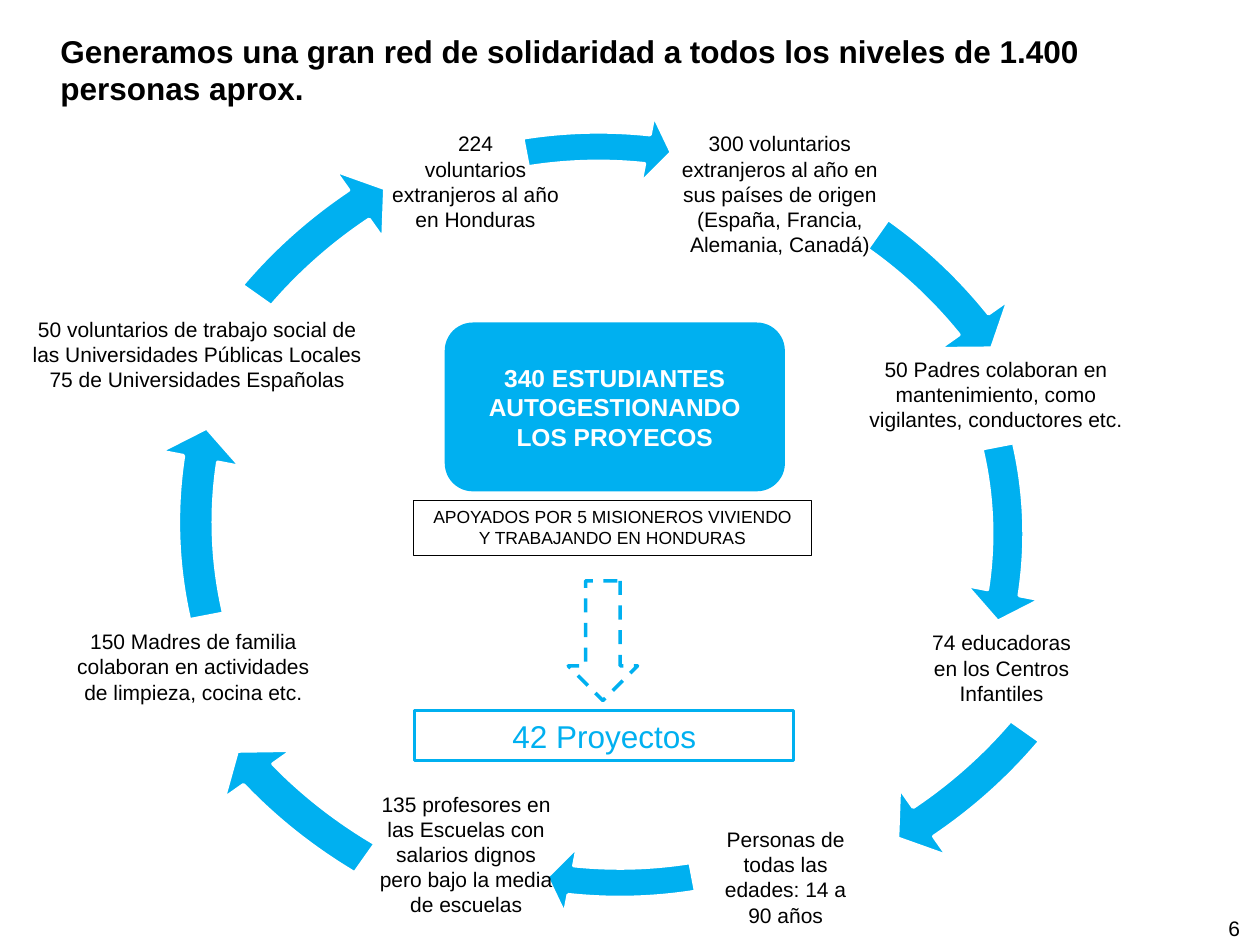
import pptx
import pptx.dml.color
import pptx.enum.dml
import pptx.enum.shapes
import pptx.enum.text
import pptx.util
from dataclasses import dataclass
from typing import Optional

Shape = pptx.enum.shapes.MSO_SHAPE
Anchor = pptx.enum.text.MSO_ANCHOR
Align = pptx.enum.text.PP_ALIGN
Fit = pptx.enum.text.MSO_AUTO_SIZE


@dataclass(frozen=True)
class Theme:
    font: str = "Arial"
    accent: str = "00B0F0"
    ink: str = "000000"
    paper: str = "FFFFFF"
    heading: float = 18
    emphasis: float = 14
    body: float = 12
    caption: float = 10


@dataclass(frozen=True)
class Area:
    """Left, top, width and height in grid columns and rows."""
    left: float
    top: float
    width: float
    height: float

    def lengths(self) -> list:
        return [round(cells * CELL) for cells in
                (self.left, self.top, self.width, self.height)]


@dataclass(frozen=True)
class Label:
    area: Area
    lines: tuple


THEME = Theme()
COLUMNS, ROWS = 100, 75
CELL = pptx.util.Inches(10) / COLUMNS

# Groups of helpers, clockwise from the top right
LABELS = [
    Label(Area(52.5, 9.9, 18.8, 11.1), (
        "300 voluntarios extranjeros al año en sus países de origen (España, Francia, Alemania, Canadá)",)),
    Label(Area(68, 27.8, 22.1, 7.1), (
        "50 Padres colaboran en mantenimiento, como vigilantes, conductores etc.",)),
    Label(Area(72.8, 49.5, 13.4, 7.1), ("74 educadoras en los Centros Infantiles",)),
    Label(Area(55.4, 65.1, 13.9, 9.1), ("Personas de todas las edades: 14 a 90 años",)),
    Label(Area(29, 62.3, 16, 11.1), (
        "135 profesores en las Escuelas con salarios dignos pero bajo la media de escuelas",)),
    Label(Area(5.1, 49.4, 20.5, 7.1), (
        "150 Madres de familia colaboran en actividades de limpieza, cocina etc.",)),
    Label(Area(1.4, 24.6, 28.5, 7.1), (
        "50 voluntarios de trabajo social de las Universidades Públicas Locales",
        "75 de Universidades Españolas")),
    Label(Area(29.6, 9.9, 16.3, 9.1), ("224", "voluntarios extranjeros al año en Honduras")),
]

# Circles that carry the ring's arrows, clockwise from the top right
RING = [
    Area(6.8, 8.3, 82.2, 82.2), Area(2.7, 5.7, 80.3, 73.3),
    Area(5.1, -5.3, 88.1, 81.1), Area(12.9, 6, 72.6, 66.8),
    Area(7, -3.7, 88.1, 81.1), Area(12.3, 1.9, 86.2, 79.1),
    Area(8.5, 5.7, 88.3, 81.1), Area(11.2, 8.9, 72.6, 66.8),
]


def colour(code: str) -> pptx.dml.color.RGBColor:
    return pptx.dml.color.RGBColor.from_string(code)


def write(box, *lines: str, size: float = THEME.body, ink: str = THEME.ink,
          bold: bool = False, align=Align.CENTER, anchor=Anchor.TOP,
          fit=Fit.SHAPE_TO_FIT_TEXT) -> None:
    frame = box.text_frame
    frame.word_wrap = True
    frame.auto_size = fit
    frame.vertical_anchor = anchor
    for index, line in enumerate(lines):
        para = frame.add_paragraph() if index else frame.paragraphs[0]
        para.alignment = align
        span = para.add_run()
        span.text = line
        span.font.name = THEME.font
        span.font.size = pptx.util.Pt(size)
        span.font.bold = bold
        span.font.color.rgb = colour(ink)


def draw(shapes, kind, area: Area, fill: Optional[str] = None,
         line: Optional[str] = None, weight: float = 1):
    shape = shapes.add_shape(kind, *area.lengths())
    shape.shadow.inherit = False
    if fill:
        shape.fill.solid()
        shape.fill.fore_color.rgb = colour(fill)
    else:
        shape.fill.background()
    if line:
        shape.line.color.rgb = colour(line)
        shape.line.width = pptx.util.Pt(weight)
    else:
        shape.line.fill.background()
    return shape


def draw_ring(page) -> None:
    """Eight curved arrows; diagonal and straight ones alternate."""
    ring = page.shapes.add_group_shape()
    turn = 360
    for index, area in enumerate(RING):
        quarter, straight = divmod(index, 2)
        head, sweep = (7.25, 18.11) if straight else (-38.85, 15.92)
        head += 90 * quarter
        arrow = draw(ring.shapes, Shape.CIRCULAR_ARROW, area,
                     THEME.accent, THEME.paper, 2)
        # Angles are stored in 60000ths of a degree, shares in 100000ths
        values = (0.035, 3.62 * 0.6, head % turn * 0.6,
                  (head - sweep) % turn * 0.6, 0.041)
        for slot, value in enumerate(values):
            arrow.adjustments[slot] = value


def draw_centre(page) -> None:
    students = draw(page.shapes, Shape.ROUNDED_RECTANGLE,
                    Area(35.3, 25.6, 27, 13.4), THEME.accent)
    write(students, "340 ESTUDIANTES AUTOGESTIONANDO", "LOS PROYECOS",
          size=THEME.emphasis, ink=THEME.paper, bold=True,
          anchor=Anchor.MIDDLE, fit=Fit.NONE)

    support = draw(page.shapes, Shape.RECTANGLE, Area(32.8, 39.7, 31.6, 4.4),
                   line=THEME.ink, weight=0.75)
    write(support, "APOYADOS POR 5 MISIONEROS VIVIENDO Y TRABAJANDO EN HONDURAS",
          size=THEME.caption)

    arrow = draw(page.shapes, Shape.RIGHT_ARROW, Area(43.1, 48.1, 9.5, 5.5),
                 line=THEME.accent, weight=2)
    arrow.rotation = 90
    arrow.line.dash_style = pptx.enum.dml.MSO_LINE.DASH

    projects = draw(page.shapes, Shape.RECTANGLE, Area(32.9, 56.4, 30.1, 4),
                    line=THEME.accent, weight=1.75)
    write(projects, "42 Proyectos", size=THEME.heading, ink=THEME.accent)


def main() -> None:
    deck = pptx.Presentation()
    deck.slide_width = round(COLUMNS * CELL)
    deck.slide_height = round(ROWS * CELL)
    page = deck.slides.add_slide(deck.slide_layouts[5])

    # Title
    title = page.shapes.title
    title.left, title.top, title.width, title.height = Area(3.8, 2.5, 90, 6.1).lengths()
    frame = title.text_frame
    frame.margin_left = round(CELL)
    frame.margin_right = frame.margin_top = frame.margin_bottom = 0
    write(title, "Generamos una gran red de solidaridad a todos los niveles de 1.400 personas aprox.",
          size=THEME.heading, bold=True, align=Align.LEFT)

    # Ring of arrows and its labels
    draw_ring(page)
    for label in LABELS:
        write(page.shapes.add_textbox(*label.area.lengths()), *label.lines)

    draw_centre(page)

    # Page number
    number = page.shapes.add_textbox(*Area(96.5, 72.2, 3.5, 2.8).lengths())
    write(number, "6", align=Align.LEFT, fit=Fit.NONE)

    deck.save("out.pptx")


if __name__ == "__main__":
    main()
